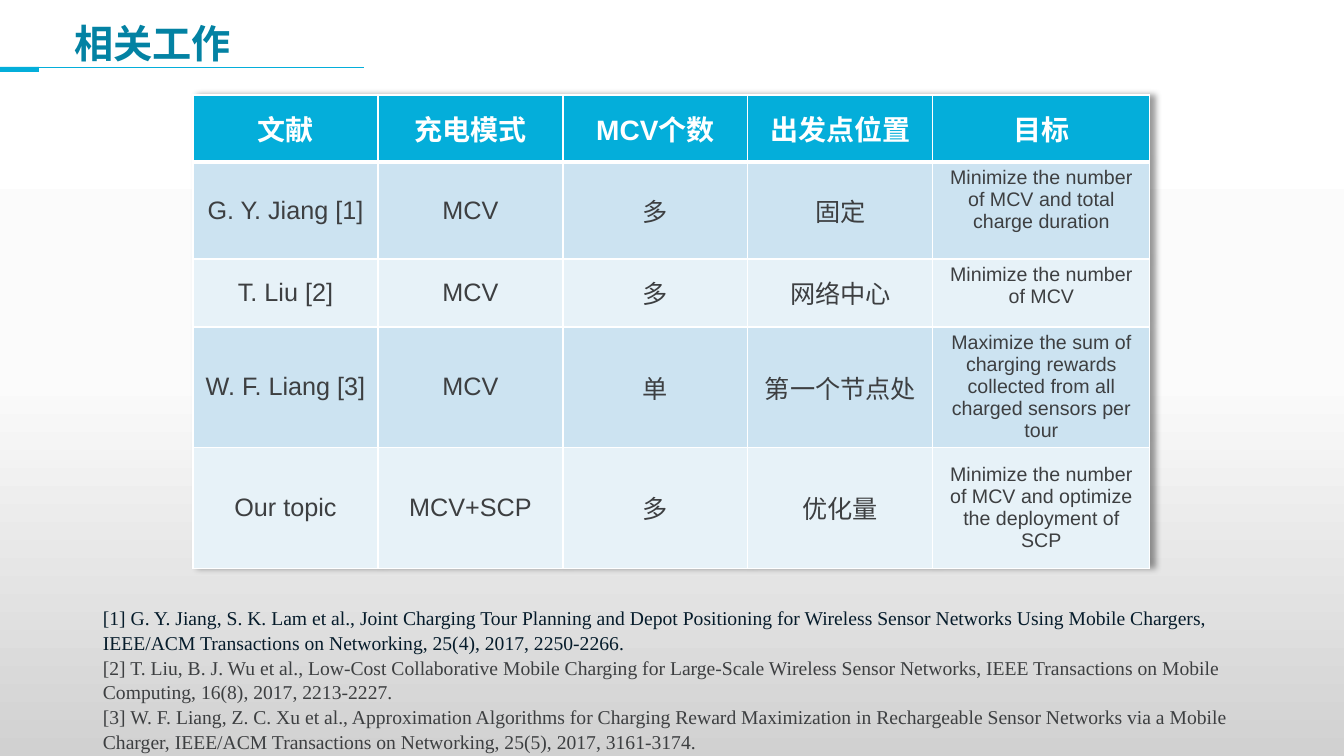
from copy import deepcopy

from lxml import etree
from pptx import Presentation
from pptx.dml.color import RGBColor
from pptx.enum.shapes import MSO_CONNECTOR, MSO_SHAPE
from pptx.enum.text import MSO_ANCHOR as ANCHOR, MSO_AUTO_SIZE as AUTO, PP_ALIGN as ALIGN
from pptx.oxml import parse_xml
from pptx.oxml.ns import nsdecls, qn
from pptx.util import Emu, Pt

W, H = 1344, 756
SCALE = 12192000 / W
CJK = "Noto Sans CJK SC"
BLUE, INK, WHITE = "04AEDA", "3D3F41", "FFFFFF"
GRADIENT = [(0, "FFFFFF"), (0.5, "FBFBFB"), (1, "D1D1D1")]
BANDS = ["CCE3F1", "E7F2F8"]
COLUMNS = [185] * 4 + [217]
ROWS = [67, 97, 68, 120, 121]
CELLS = [
    ["文献", "充电模式", "MCV个数", "出发点位置", "目标"],
    ["G. Y. Jiang [1]", "MCV", "多", "固定",
     "Minimize the number of MCV and total charge duration"],
    ["T. Liu [2]", "MCV", "多", "网络中心", "Minimize the number of MCV"],
    ["W. F. Liang [3]", "MCV", "单", "第一个节点处",
     "Maximize the sum of charging rewards collected from all\ncharged sensors per tour"],
    ["Our topic", "MCV+SCP", "多", "优化量",
     "Minimize the number of MCV and optimize the deployment of SCP"],
]
REFERENCES = [
    ("[1] G. Y. Jiang, S. K. Lam et al., Joint Charging Tour Planning and Depot Positioning for "
     "Wireless Sensor Networks Using Mobile Chargers, IEEE/ACM Transactions on Networking, "
     "25(4), 2017, 2250-2266.", "061C2B"),
    ("[2] T. Liu, B. J. Wu et al., Low-Cost Collaborative Mobile Charging for Large-Scale "
     "Wireless Sensor Networks, IEEE Transactions on Mobile Computing, 16(8), 2017, "
     "2213-2227.", INK),
    ("[3] W. F. Liang, Z. C. Xu et al., Approximation Algorithms for Charging Reward "
     "Maximization in Rechargeable Sensor Networks via a Mobile Charger, IEEE/ACM "
     "Transactions on Networking, 25(5), 2017, 3161-3174.", INK),
]


def px(n):
    return Emu(round(n * SCALE))


def box(*lengths):
    return [px(n) for n in lengths]


def rgb(color):
    return RGBColor.from_string(color)


def write(p, text, color, **font):
    """Put one run into a paragraph, with an East Asian font beside the Latin one."""
    r = p.add_run()
    r.text = text
    for name, value in font.items():
        setattr(r.font, name, value)
    r.font.color.rgb = rgb(color)
    etree.SubElement(r._r.get_or_add_rPr(), qn("a:ea"), typeface=CJK)


def add_rect(s, x, y, w, h):
    sp = s.shapes.add_shape(MSO_SHAPE.RECTANGLE, *box(x, y, w, h))
    sp.shadow.inherit = False
    sp.line.fill.background()
    return sp


def add_backdrop(s, x, y, w, h):
    sp = add_rect(s, x, y, w, h)
    sp.fill.gradient()
    sp.fill.gradient_angle = 270
    first = sp.fill.gradient_stops[0]._gs
    first.addnext(deepcopy(first))
    for stop, (position, color) in zip(sp.fill.gradient_stops, GRADIENT):
        stop.position = position
        stop.color.rgb = rgb(color)
    s.shapes._spTree.insert(2, sp._element)  # behind the title


def add_heading(s, x, y, w, h):
    rule_y = y + h - 8
    line = s.shapes.add_connector(MSO_CONNECTOR.STRAIGHT, *box(0, rule_y, 364, rule_y))
    line.line.color.rgb = rgb(BLUE)
    line.line.width = Pt(0.5)
    etree.SubElement(line._element.spPr, qn("a:effectLst"))
    tab = add_rect(s, 0, rule_y, 39, 5)
    tab.fill.solid()
    tab.fill.fore_color.rgb = rgb(BLUE)

    title = s.shapes.title
    title.left, title.top, title.width, title.height = box(x, y, w, h)
    tf = title.text_frame
    tf.auto_size, tf.vertical_anchor = AUTO.NONE, ANCHOR.MIDDLE
    p = tf.paragraphs[0]
    p.alignment = ALIGN.LEFT
    write(p, "相关工作", "0382A3", name=CJK, size=Pt(28), bold=True)


def add_borders(cell, bottom):
    tcPr = cell._tc.get_or_add_tcPr()
    for side, width in zip("LRTB", (1, 1, 1, bottom)):
        ln = etree.SubElement(tcPr, qn(f"a:ln{side}"), w=str(Pt(width)))
        etree.SubElement(etree.SubElement(ln, qn("a:solidFill")), qn("a:srgbClr"), val=WHITE)


def fill_cell(cell, text, row, col):
    header, goal = row == 0, row > 0 and col == len(COLUMNS) - 1
    add_borders(cell, 3 if header else 1)
    cell.fill.solid()
    cell.fill.fore_color.rgb = rgb(BLUE if header else BANDS[(row - 1) % 2])
    cell.vertical_anchor = ANCHOR.TOP if goal and row < 3 else ANCHOR.MIDDLE
    size = 20 if header else 14 if goal else 18
    tf = cell.text_frame
    for i, part in enumerate(text.split("\n")):
        p = tf.add_paragraph() if i else tf.paragraphs[0]
        p.alignment = ALIGN.CENTER
        write(p, part, WHITE if header else INK, name="Arial", size=Pt(size), bold=header)


def add_comparison(s, x, y):
    frame = s.shapes.add_table(len(ROWS), len(COLUMNS), *box(x, y, sum(COLUMNS), sum(ROWS)))
    table = frame.table
    table._tbl.tblPr.insert(0, parse_xml(
        f'<a:effectLst {nsdecls("a")}><a:outerShdw blurRad="50800" dist="38100" dir="0" '
        'algn="l" rotWithShape="0"><a:srgbClr val="000000"><a:alpha val="40000"/>'
        '</a:srgbClr></a:outerShdw></a:effectLst>'))
    for column, width in zip(table.columns, COLUMNS):
        column.width = px(width)
    for i, (height, texts) in enumerate(zip(ROWS, CELLS)):
        table.rows[i].height = px(height)
        for j, text in enumerate(texts):
            fill_cell(table.cell(i, j), text, i, j)


def add_references(s, x, y, w, h):
    tf = s.shapes.add_textbox(*box(x, y, w, h)).text_frame
    tf.word_wrap = True
    for i, (text, color) in enumerate(REFERENCES):
        p = tf.add_paragraph() if i else tf.paragraphs[0]
        p.line_spacing = 1.05
        write(p, text, color, name="Times New Roman", size=Pt(14))


def main():
    prs = Presentation()
    prs.slide_width, prs.slide_height = box(W, H)
    s = prs.slides.add_slide(prs.slide_layouts[5])
    add_backdrop(s, 0, 0, W, H)
    add_heading(s, 64, 11, 1210, 64)
    add_comparison(s, 193, 95)
    add_references(s, 93, 600, 1159, 151)
    prs.save("out.pptx")


if __name__ == "__main__":
    main()
